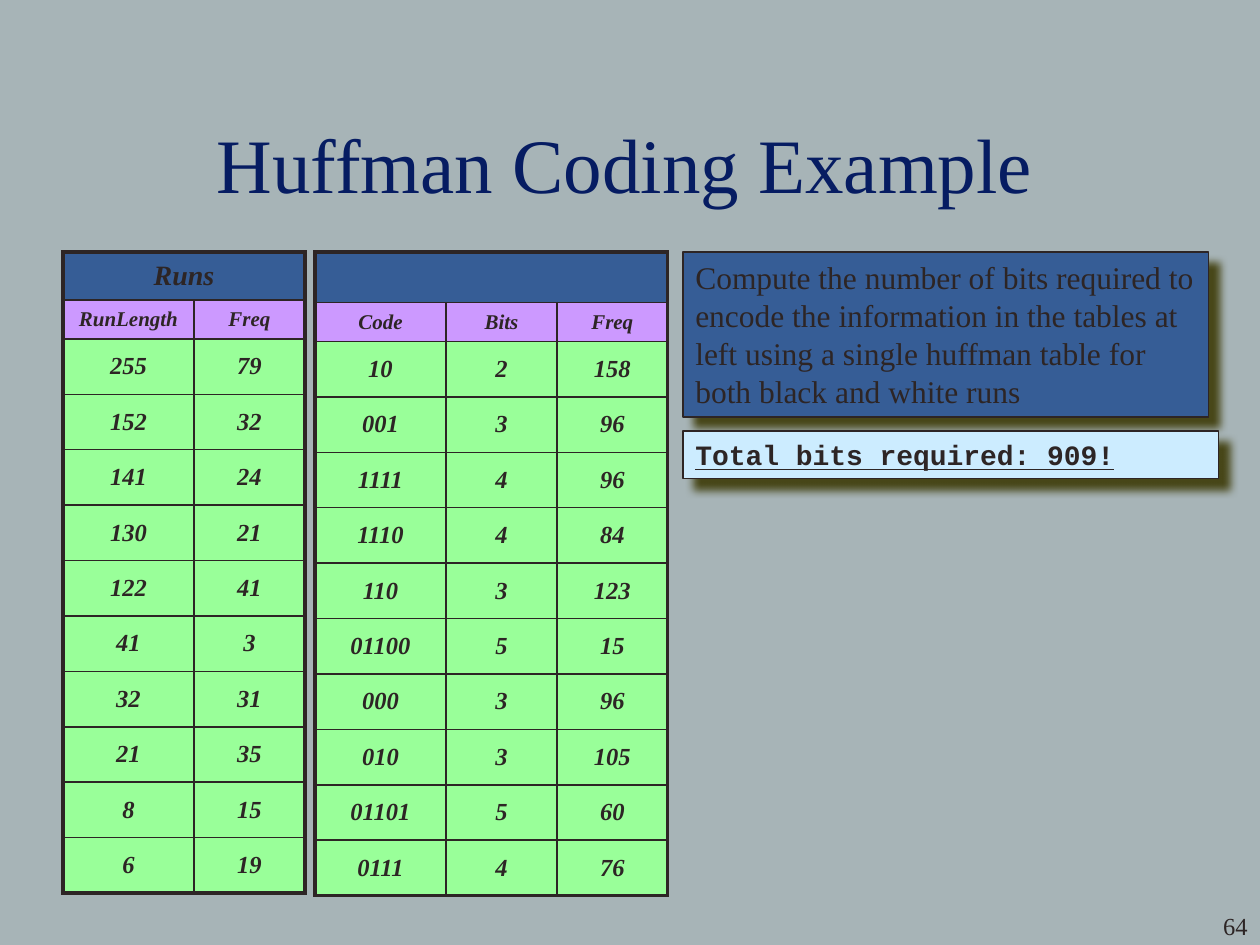
import pptx
import pptx.dml.color
import pptx.enum.shapes
import pptx.enum.text
import pptx.oxml
import pptx.oxml.ns
import pptx.util

Inches = pptx.util.Inches
Pt = pptx.util.Pt
RGBColor = pptx.dml.color.RGBColor
Align = pptx.enum.text.PP_ALIGN
Anchor = pptx.enum.text.MSO_ANCHOR
AutoSize = pptx.enum.text.MSO_AUTO_SIZE
qn = pptx.oxml.ns.qn

BACKGROUND = RGBColor(0xA7, 0xB4, 0xB7)
INK = RGBColor(0x2D, 0x25, 0x25)
NAVY = RGBColor(0x06, 0x1C, 0x62)
BLUE = RGBColor(0x36, 0x5D, 0x96)
PURPLE = RGBColor(0xCC, 0x99, 0xFF)
GREEN = RGBColor(0x99, 0xFF, 0x99)
PALE_BLUE = RGBColor(0xCC, 0xEC, 0xFF)
SHADOW = RGBColor(0x48, 0x47, 0x19)

SERIF = "Times New Roman"
MONO = "Courier New"
THICK, THIN = Pt(2.25), Pt(1)

# Table contents below the heading row
RUNS = [
    ("RunLength", "Freq"),
    (255, 79), (152, 32), (141, 24), (130, 21), (122, 41),
    (41, 3), (32, 31), (21, 35), (8, 15), (6, 19),
]
CODES = [
    ("Code", "Bits", "Freq"),
    ("10", 2, 158), ("001", 3, 96), ("1111", 4, 96), ("1110", 4, 84),
    ("110", 3, 123), ("01100", 5, 15), ("000", 3, 96), ("010", 3, 105),
    ("01101", 5, 60), ("0111", 4, 76),
]


def write_text(frame, text, *, size, font=SERIF, color=INK, bold=False,
               italic=False, underline=False, align=Align.LEFT):
    paragraph = frame.paragraphs[0]
    paragraph.alignment = align
    run = paragraph.add_run()
    run.text = text
    run.font.name = font
    run.font.size = Pt(size)
    run.font.color.rgb = color
    run.font.bold = bold
    run.font.italic = italic
    run.font.underline = underline


class SlideBuilder:
    """Holds the table style and the slide being built."""

    heading_height = Inches(0.38)
    label_height = Inches(0.31)
    value_height = Inches(0.44)
    first_width = Inches(1.04)
    other_width = Inches(0.88)

    def __init__(self, presentation):
        self.slide = presentation.slides.add_slide(presentation.slide_layouts[5])
        fill = self.slide.background.fill
        fill.solid()
        fill.fore_color.rgb = BACKGROUND

    def title(self, text, left, top, width, height):
        shape = self.slide.shapes.title
        shape.left, shape.top, shape.width, shape.height = left, top, width, height
        frame = shape.text_frame
        frame.auto_size = AutoSize.NONE
        frame.vertical_anchor = Anchor.MIDDLE
        write_text(frame, text, size=44, color=NAVY, align=Align.CENTER)

    def label(self, text, left, top, width, height, **style):
        frame = self.slide.shapes.add_textbox(left, top, width, height).text_frame
        frame.word_wrap = True
        write_text(frame, text, **style)

    def panel(self, text, left, top, width, height, fill, **style):
        shape = self.slide.shapes.add_shape(
            pptx.enum.shapes.MSO_SHAPE.RECTANGLE, left, top, width, height)
        shape.fill.solid()
        shape.fill.fore_color.rgb = fill
        shape.line.color.rgb = INK
        shape.line.width = Pt(0.75)
        self.drop_shadow(shape)
        frame = shape.text_frame
        frame.word_wrap = True
        frame.auto_size = AutoSize.SHAPE_TO_FIT_TEXT
        frame.vertical_anchor = Anchor.TOP
        write_text(frame, text, **style)

    def drop_shadow(self, shape):
        shape.shadow.inherit = False
        effects = shape.element.spPr.find(qn("a:effectLst"))
        effects.append(pptx.oxml.parse_xml(
            f'<a:outerShdw {pptx.oxml.ns.nsdecls("a")} blurRad="{Pt(5)}" '
            f'dist="{Pt(8.5)}" dir="{45 * 60000}" algn="ctr" rotWithShape="0">'
            f'<a:srgbClr val="{SHADOW}"/></a:outerShdw>'))

    def table(self, heading, rows, left, top):
        row_count, column_count = len(rows) + 1, len(rows[0])
        widths = [self.first_width] + [self.other_width] * (column_count - 1)
        heights = ([self.heading_height, self.label_height]
                   + [self.value_height] * (row_count - 2))
        table = self.slide.shapes.add_table(
            row_count, column_count, left, top, sum(widths), sum(heights)).table
        table.first_row = table.horz_banding = False
        for column, width in zip(table.columns, widths):
            column.width = width
        for row, height in zip(table.rows, heights):
            row.height = height
        table.cell(0, 0).merge(table.cell(0, column_count - 1))

        # The outer frame is thick, and the heading spans the whole width
        for r, values in enumerate([[heading] + [""] * (column_count - 1)] + rows):
            color, size = {0: (BLUE, 16), 1: (PURPLE, 12)}.get(r, (GREEN, 14))
            for c, value in enumerate(values):
                cell = table.cell(r, c)
                self.borders(
                    cell,
                    L=THICK if c == 0 else THIN,
                    R=THICK if r == 0 or c == column_count - 1 else THIN,
                    T=THICK if r == 0 else THIN,
                    B=THICK if r == row_count - 1 else THIN)
                cell.fill.solid()
                cell.fill.fore_color.rgb = color
                cell.vertical_anchor = Anchor.MIDDLE
                if value != "":
                    write_text(cell.text_frame, str(value), size=size, bold=True,
                               italic=True, align=Align.CENTER)

    def borders(self, cell, **widths):
        properties = cell._tc.get_or_add_tcPr()
        for side, width in widths.items():
            properties.append(pptx.oxml.parse_xml(
                f'<a:ln{side} {pptx.oxml.ns.nsdecls("a")} w="{width}">'
                f'<a:solidFill><a:srgbClr val="{INK}"/></a:solidFill></a:ln{side}>'))


def main():
    presentation = pptx.Presentation()
    presentation.slide_width = Inches(10)
    presentation.slide_height = Inches(7.5)
    builder = SlideBuilder(presentation)

    # Title and slide number
    builder.title("Huffman Coding Example",
                  Inches(0.25), Inches(0.67), Inches(9.42), Inches(1.25))
    builder.label("64", Inches(8.33), Inches(7.18), Inches(1.67), Inches(0.5),
                  size=14, align=Align.RIGHT)

    # Run lengths, the task, their codes and the answer
    builder.table("Runs", RUNS, Inches(0.5), Inches(2))
    builder.panel(
        "Compute the number of bits required to encode the information in the "
        "tables at left using a single huffman table for both black and white runs",
        Inches(5.42), Inches(2), Inches(4.17), Inches(1.31), BLUE, size=18)
    builder.table("", CODES, Inches(2.5), Inches(2))
    builder.panel("Total bits required: 909!",
                  Inches(5.42), Inches(3.42), Inches(4.25), Inches(0.38), PALE_BLUE,
                  size=16, font=MONO, bold=True, underline=True)

    presentation.save("out.pptx")


if __name__ == "__main__":
    main()
